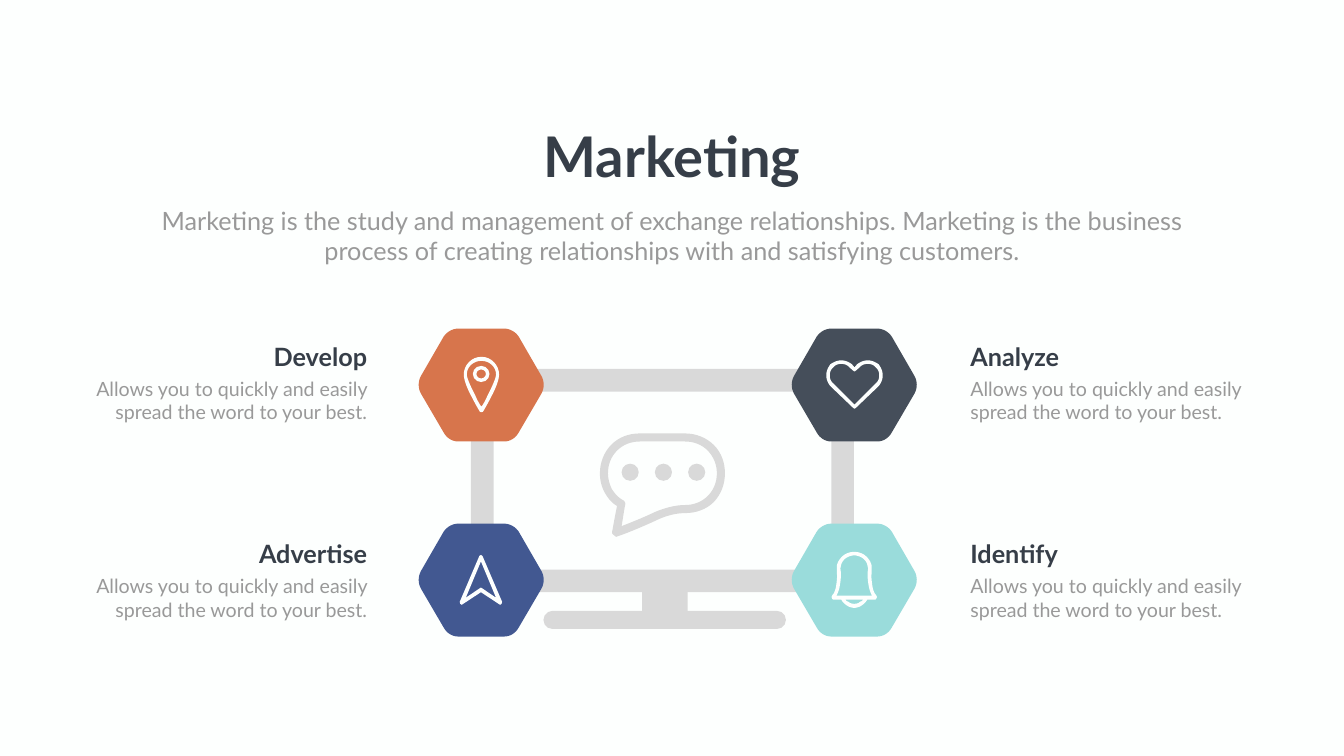
from dataclasses import dataclass

from pptx import Presentation
from pptx.dml.color import RGBColor
from pptx.enum.shapes import MSO_SHAPE as SHAPE
from pptx.enum.text import MSO_AUTO_SIZE as FIT, PP_ALIGN as ALIGN
from pptx.util import Inches, Pt


@dataclass(frozen=True)
class Theme:
    font: str = "Lato"
    paper: str = "FDFFFE"
    frame: str = "D9D9D9"
    ink: str = "363E48"
    muted: str = "999999"
    orange: str = "D7754C"
    navy: str = "425891"
    slate: str = "454E5A"
    aqua: str = "9ADCDB"
    title: int = 80
    heading: int = 36
    body: int = 28


T = Theme()
DETAIL = "Allows you to quickly and easily spread the word to your best."


def trace(steps):
    points = [steps[0]]
    for step in steps[1:]:
        if len(step) == 2:
            points.append(step)
            continue
        x0, y0 = points[-1]
        x1, y1, x2, y2, x3, y3 = step
        for i in range(1, 9):
            t = i / 8
            u = 1 - t
            a, b, c, d = u**3, 3 * u * u * t, 3 * u * t * t, t**3
            points.append((a * x0 + b * x1 + c * x2 + d * x3,
                           a * y0 + b * y1 + c * y2 + d * y3))
    return points


def mirror(width, *halves):
    contours = []
    for half in halves:
        points = trace(half)
        contours.append(points + [(width - x, y) for x, y in reversed(points)])
    return contours


HEXAGON = mirror(2.51, [
    (1.25, 0), (0.8, 0), (0.68, 0, 0.57, 0.07, 0.51, 0.16), (0.06, 0.94),
    (0, 1.05, 0, 1.18, 0.06, 1.29), (0.51, 2.06),
    (0.57, 2.17, 0.68, 2.24, 0.8, 2.24), (1.25, 2.24)])
PIN = mirror(0.7, [
    (0.35, 0), (0.15, 0, 0, 0.17, 0, 0.35), (0, 0.44, 0.05, 0.6, 0.16, 0.8),
    (0.24, 0.96, 0.32, 1.09, 0.32, 1.09), (0.35, 1.1)], [
    (0.35, 0.08), (0.19, 0.08, 0.06, 0.2, 0.06, 0.35),
    (0.06, 0.4, 0.1, 0.52, 0.23, 0.77), (0.27, 0.87, 0.32, 0.95, 0.35, 0.99)])
ARROW = mirror(0.84, [
    (0.42, 0), (0.39, 0.02), (0, 0.93), (0.01, 0.97), (0.04, 0.99), (0.42, 0.74)], [
    (0.42, 0.13), (0.12, 0.85), (0.4, 0.66), (0.42, 0.65)])
HEART = mirror(1.12, [
    (0.56, 0.14), (0.51, 0.08), (0.45, 0.03, 0.37, 0, 0.3, 0),
    (0.22, 0, 0.15, 0.03, 0.08, 0.08), (0.03, 0.15, 0, 0.22, 0, 0.3),
    (0, 0.37, 0.03, 0.45, 0.08, 0.51), (0.54, 0.95), (0.56, 0.96)], [
    (0.56, 0.22), (0.54, 0.21), (0.46, 0.14), (0.42, 0.09, 0.36, 0.07, 0.3, 0.07),
    (0.23, 0.07, 0.18, 0.09, 0.14, 0.14), (0.09, 0.18, 0.07, 0.23, 0.07, 0.3),
    (0.07, 0.36, 0.09, 0.42, 0.14, 0.46), (0.56, 0.88)])
BELL = mirror(0.91, [
    (0.45, 0), (0.37, 0, 0.29, 0.03, 0.24, 0.07), (0.17, 0.13, 0.13, 0.19, 0.11, 0.27),
    (0.11, 0.43), (0.12, 0.48, 0.11, 0.57, 0.1, 0.64),
    (0.09, 0.74, 0.06, 0.82, 0.02, 0.86), (0.01, 0.88, 0, 0.9, 0.01, 0.91),
    (0.02, 0.94, 0.03, 0.95, 0.06, 0.95), (0.2, 0.95),
    (0.22, 0.99, 0.25, 1.02, 0.29, 1.05), (0.34, 1.09, 0.4, 1.11, 0.45, 1.11)], [
    (0.45, 0.07), (0.39, 0.07, 0.32, 0.1, 0.28, 0.13),
    (0.23, 0.17, 0.2, 0.22, 0.19, 0.28), (0.18, 0.33), (0.19, 0.41),
    (0.19, 0.47, 0.19, 0.56, 0.17, 0.66), (0.16, 0.74, 0.13, 0.82, 0.1, 0.87),
    (0.45, 0.87)], [
    (0.45, 0.95), (0.28, 0.95), (0.29, 0.97, 0.31, 0.98, 0.34, 0.99),
    (0.37, 1.02, 0.41, 1.03, 0.45, 1.03)])
BUBBLE = [trace(steps) for steps in ([
    (2.26, 0.23), (2.11, 0.08, 1.9, 0, 1.69, 0), (0.79, 0),
    (0.58, 0, 0.38, 0.07, 0.23, 0.22), (0.08, 0.37, 0, 0.58, 0, 0.79),
    (0, 0.92, 0.03, 1.06, 0.1, 1.18), (0.16, 1.29, 0.24, 1.38, 0.34, 1.44),
    (0.28, 1.72, 0.25, 1.94, 0.24, 1.95), (0.24, 1.98, 0.25, 2, 0.28, 2.02),
    (0.3, 2.04, 0.31, 2.05, 0.33, 2.05), (0.35, 2.04),
    (0.37, 2.04, 0.77, 1.89, 1.17, 1.7), (1.33, 1.63, 1.51, 1.58, 1.7, 1.58),
    (1.9, 1.58, 2.11, 1.51, 2.26, 1.36), (2.41, 1.2, 2.48, 1, 2.48, 0.79),
    (2.48, 0.58, 2.41, 0.38, 2.26, 0.23)], [
    (2.14, 1.24), (2.02, 1.36, 1.86, 1.42, 1.7, 1.42),
    (1.49, 1.42, 1.28, 1.48, 1.09, 1.56), (0.84, 1.68, 0.58, 1.78, 0.43, 1.84),
    (0.45, 1.73, 0.47, 1.58, 0.5, 1.42), (0.51, 1.39, 0.5, 1.36, 0.47, 1.33),
    (0.37, 1.28, 0.3, 1.2, 0.24, 1.11), (0.19, 1.01, 0.16, 0.9, 0.16, 0.79),
    (0.16, 0.62, 0.22, 0.46, 0.34, 0.34), (0.46, 0.22, 0.62, 0.16, 0.79, 0.16),
    (1.69, 0.16), (1.86, 0.16, 2.02, 0.22, 2.14, 0.34),
    (2.26, 0.47, 2.32, 0.62, 2.32, 0.79), (2.32, 0.96, 2.26, 1.12, 2.14, 1.24)])]


def paint(sp, color):
    sp.shadow.inherit = False
    sp.fill.solid()
    sp.fill.fore_color.rgb = RGBColor.from_string(color)
    sp.line.fill.background()


def add_preset(s, kind, box, color, adjustment=None):
    sp = s.shapes.add_shape(kind, *map(Inches, box))
    if adjustment is not None:
        sp.adjustments[0] = adjustment
    paint(sp, color)


def add_outline(s, left, top, contours, color):
    builder = None
    for contour in contours:
        points = [(Inches(left + x), Inches(top + y)) for x, y in contour]
        if builder is None:
            builder = s.shapes.build_freeform(*points[0])
        else:
            builder.move_to(*points[0])
        builder.add_line_segments(points[1:], close=True)
    paint(builder.convert_to_shape(), color)


def add_text(s, box, text, size, color, align, bold=False, wrap=True):
    tf = s.shapes.add_textbox(*map(Inches, box)).text_frame
    tf.word_wrap = wrap
    tf.auto_size = FIT.SHAPE_TO_FIT_TEXT
    p = tf.paragraphs[0]
    p.text = text
    p.alignment = align
    font = p.runs[0].font
    font.name, font.size, font.bold = T.font, Pt(size), bold
    font.color.rgb = RGBColor.from_string(color)


def add_monitor(s):
    add_preset(s, SHAPE.ROUNDED_RECTANGLE, (9.34, 7.32, 7.6, 4.43), T.frame, 0.06)
    add_preset(s, SHAPE.ROUNDED_RECTANGLE, (9.79, 7.77, 6.7, 3.53), T.paper, 0.03)
    add_preset(s, SHAPE.RECTANGLE, (12.74, 11.75, 0.9, 0.37), T.frame)
    add_preset(s, SHAPE.ROUNDED_RECTANGLE, (10.78, 12.12, 4.81, 0.36), T.frame, 0.5)
    add_outline(s, 11.9, 8.6, BUBBLE, T.frame)
    for i in range(3):
        add_preset(s, SHAPE.OVAL, (12.33 + 0.66 * i, 9.2, 0.34, 0.34), T.frame)


def add_topic(s, column, row, heading, color, icon, icon_left, icon_top):
    add_outline(s, 8.29 + 7.4 * column, 6.52 + 3.87 * row, HEXAGON, color)
    add_outline(s, icon_left, icon_top, icon, T.paper)
    align = ALIGN.LEFT if column else ALIGN.RIGHT
    top = 6.72 + 3.92 * row
    for text, width, dy, height, size, ink, bold in (
            (heading, 2.61, 0, 0.71, T.heading, T.ink, True),
            (DETAIL, 5.74, 0.7, 1.04, T.body, T.muted, False)):
        left = 19.15 if column else 7.38 - width
        add_text(s, (left, top + dy, width, height), text, size, ink, align, bold)


def main():
    prs = Presentation()
    prs.slide_width, prs.slide_height = Inches(26.66), Inches(15)
    s = prs.slides.add_slide(prs.slide_layouts[6])
    s.background.fill.solid()
    s.background.fill.fore_color.rgb = RGBColor.from_string(T.paper)
    add_monitor(s)
    add_text(s, (10.62, 2.36, 5.43, 1.45), "Marketing", T.title, T.ink,
             ALIGN.CENTER, bold=True, wrap=False)
    add_text(s, (2.68, 4.02, 21.3, 1.31),
             "Marketing is the study and management of exchange relationships. "
             "Marketing is the business process of creating relationships with "
             "and satisfying customers.", T.heading, T.muted, ALIGN.CENTER)
    for topic in (
            (0, 0, "Develop", T.orange, PIN, 9.2, 7.08),
            (1, 0, "Analyze", T.slate, HEART, 16.39, 7.15),
            (0, 1, "Advertise", T.navy, ARROW, 9.12, 11.01),
            (1, 1, "Identify", T.aqua, BELL, 16.49, 10.95)):
        add_topic(s, *topic)
    add_preset(s, SHAPE.DONUT, (9.38, 7.26, 0.33, 0.32), T.paper, 0.22)
    prs.save("out.pptx")


if __name__ == "__main__":
    main()
